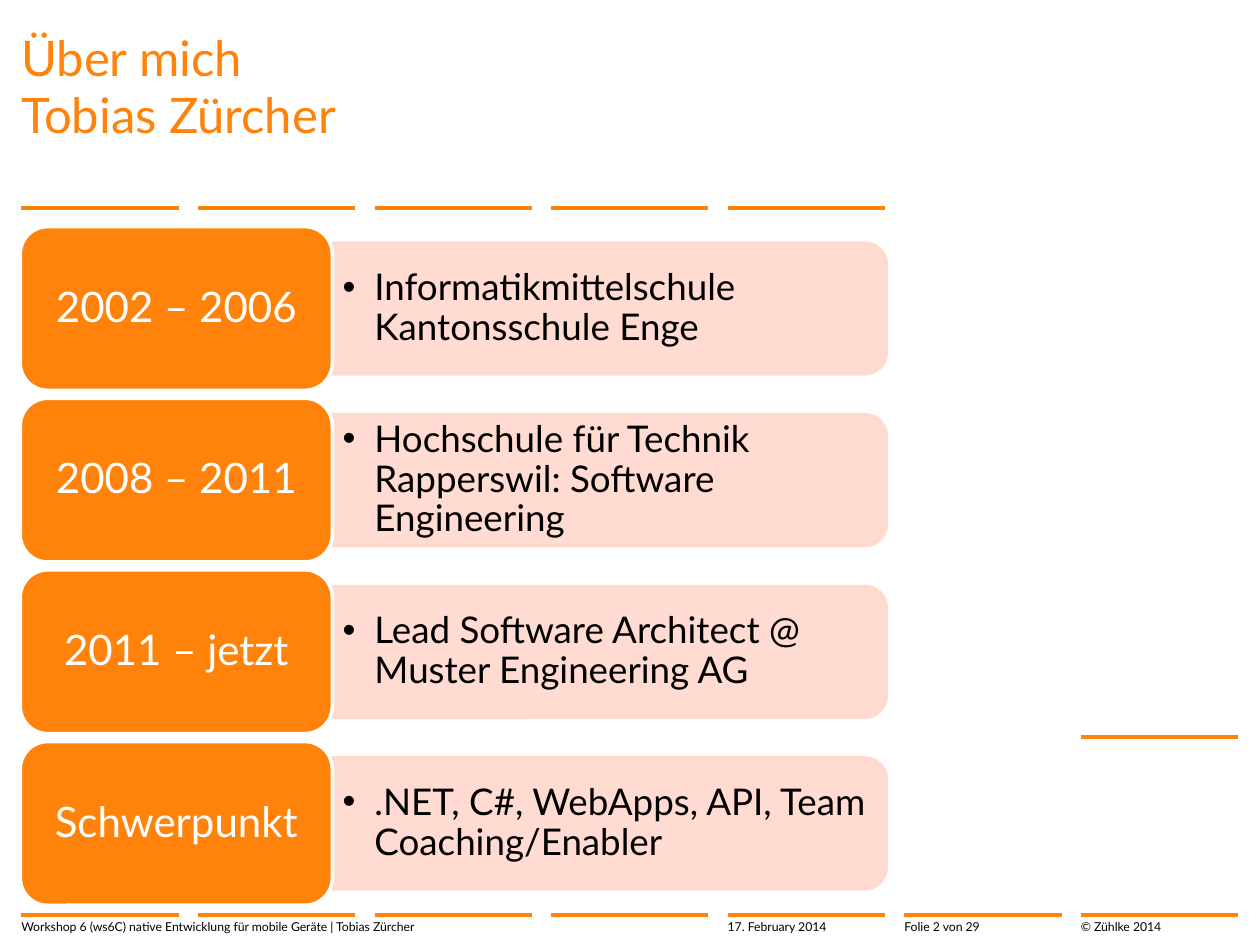
from lxml.etree import SubElement
from pptx import Presentation
from pptx.dml.color import RGBColor
from pptx.enum.shapes import MSO_CONNECTOR as Connector, MSO_SHAPE as Shape
from pptx.enum.text import MSO_ANCHOR as Anchor, PP_ALIGN as Align
from pptx.oxml.ns import qn
from pptx.util import Cm, Pt

ORANGE, PINK, WHITE, BLACK = "FF820A", "FFD8CC", "FFFFFF", "000000"


def color(target, value):
    """Set a fill, line or font to a hex colour and return its colour format."""
    if hasattr(target, "solid"):
        target.solid()
        chosen = target.fore_color
    else:
        chosen = target.color
    chosen.rgb = RGBColor.from_string(value)
    return chosen


def write(shape, text, size, ink=BLACK, align=Align.LEFT, anchor=Anchor.TOP,
          spacing=1.0, inset=(0, 0), bullet_indent=None):
    frame = shape.text_frame
    frame.word_wrap = True
    frame.vertical_anchor = anchor
    frame.margin_left = frame.margin_right = Cm(inset[0])
    frame.margin_top = frame.margin_bottom = Cm(inset[1])
    paragraph = frame.paragraphs[0]
    paragraph.text = text
    paragraph.alignment = align
    paragraph.line_spacing = spacing
    if bullet_indent:
        properties = paragraph._p.get_or_add_pPr()
        properties.set("marL", str(Cm(bullet_indent)))
        properties.set("indent", str(-Cm(bullet_indent)))
        SubElement(properties, qn("a:buFont")).set("typeface", "Arial")
        SubElement(properties, qn("a:buChar")).set("char", "•")
    for run in paragraph.runs:
        run.font.name = "Lato"
        run.font.size = Pt(size)
        color(run.font, ink)


presentation = Presentation()
presentation.slide_width, presentation.slide_height = Cm(25.4), Cm(19.05)
slide = presentation.slides.add_slide(presentation.slide_layouts[6])
shapes = slide.shapes

# Seven-column grid with its rules
column_width = 3.17
columns = [0.43 + 3.56 * index for index in range(7)]
rules = [(left, 4.19) for left in columns[:5]]
rules += [(left, 18.44) for left in columns]
rules.append((columns[6], 14.86))
for left, top in rules:
    rule = shapes.add_connector(Connector.STRAIGHT, Cm(left), Cm(top),
                                Cm(left + column_width), Cm(top))
    color(rule.line, ORANGE)
    rule.line.width = Pt(2)
    SubElement(rule._element.spPr, qn("a:effectLst"))

title = shapes.add_textbox(Cm(columns[0]), Cm(0.61), Cm(17.42), Cm(3.38))
write(title, "Über mich\nTobias Zürcher", 28, ORANGE, spacing=0.98)

# Career rows: a pink bar behind an orange period box
career = [
    ("2002 – 2006", "Informatikmittelschule Kantonsschule Enge"),
    ("2008 – 2011", "Hochschule für Technik Rapperswil: Software Engineering"),
    ("2011 – jetzt", "Lead Software Architect @ Muster Engineering AG"),
    ("Schwerpunkt", ".NET, C#, WebApps, API, Team Coaching/Enabler"),
]
box_left, box_width, box_height = 0.41, 6.29, 3.3
bar_left, bar_length, bar_height = 6.69, 11.18, 2.64
text_width, text_height = 11.05, 2.39
for row, (period, description) in enumerate(career):
    middle = 6.22 + 3.46 * row

    # The bar stands upright before its quarter turn
    bar = shapes.add_shape(Shape.ROUND_2_SAME_RECTANGLE,
                           Cm(bar_left + (bar_length - bar_height) / 2),
                           Cm(middle - bar_length / 2),
                           Cm(bar_height), Cm(bar_length))
    bar.rotation = 90
    bar.shadow.inherit = False
    color(bar.fill, PINK)
    color(bar.line, PINK)
    bar.line.width = Pt(2)
    for tint in bar._element.spPr.iter(qn("a:srgbClr")):
        SubElement(tint, qn("a:alpha")).set("val", "90000")

    details = shapes.add_textbox(Cm(bar_left), Cm(middle - text_height / 2),
                                 Cm(text_width), Cm(text_height))
    write(details, description, 21, anchor=Anchor.MIDDLE, spacing=0.9,
          inset=(0.22, 0.11), bullet_indent=0.64)

    box = shapes.add_shape(Shape.ROUNDED_RECTANGLE, Cm(box_left),
                           Cm(middle - box_height / 2), Cm(box_width), Cm(box_height))
    box.shadow.inherit = False
    color(box.fill, ORANGE)
    color(box.line, WHITE)
    box.line.width = Pt(2)
    write(box, period, 24, WHITE, Align.CENTER, Anchor.MIDDLE, 0.9, (0.25, 0.13))

# Footer
footer = [
    (0, 13.87, "Workshop 6 (ws6C) native Entwicklung für mobile Geräte | Tobias Zürcher"),
    (4, column_width, "17. February 2014"),
    (5, column_width, "Folie 2 von 29"),
    (6, column_width, "© Zühlke 2014"),
]
for column, width, text in footer:
    label = shapes.add_textbox(Cm(columns[column]), Cm(18.54), Cm(width), Cm(0.3))
    write(label, text, 7)

presentation.save("out.pptx")
